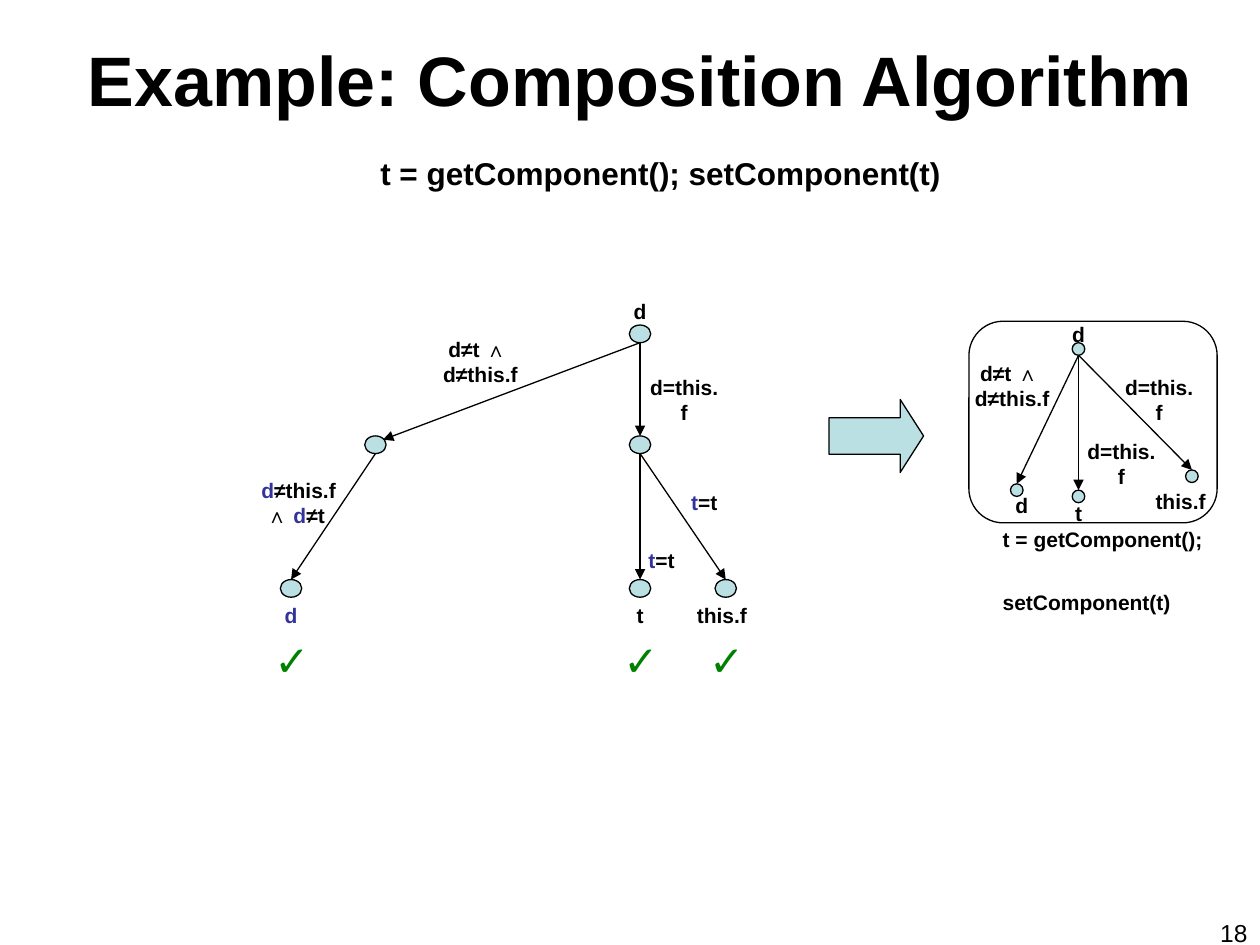
from lxml import etree
from pptx import Presentation
from pptx.dml.color import RGBColor
from pptx.enum.shapes import MSO_CONNECTOR, MSO_SHAPE as Shape
from pptx.enum.text import MSO_ANCHOR as Anchor, MSO_AUTO_SIZE as AutoSize, PP_ALIGN as Align
from pptx.oxml.ns import qn
from pptx.util import Inches, Pt

COLORS = {"ink": "000000", "node": "BBE0E3", "source": "333399", "check": "008000"}


def color(name):
    return RGBColor.from_string(COLORS[name])


def write_text(frame, runs, size=12, bold=True, align=Align.CENTER, before=0):
    """Fill a frame with (text, color) runs; a newline is a line break."""
    paragraph = frame.paragraphs[0]
    paragraph.alignment = align
    paragraph.space_before = Pt(before)
    if isinstance(runs, str):
        runs = [(runs, "ink")]
    for text, color_name in runs:
        for index, line in enumerate(text.split("\n")):
            if index:
                paragraph.add_line_break()
            run = paragraph.add_run()
            run.text = line
            run.font.name = "Arial"
            run.font.size = Pt(size)
            run.font.bold = bold
            run.font.color.rgb = color(color_name)


class Diagram:
    """Draws graph elements on one slide in a shared style."""

    line_width = Pt(0.75)

    def __init__(self, slide):
        self.slide = slide

    def shape(self, kind, left, top, width, height, fill="node", adjustments=()):
        shape = self.slide.shapes.add_shape(
            kind, Inches(left), Inches(top), Inches(width), Inches(height))
        shape.shadow.inherit = False
        if fill:
            shape.fill.solid()
            shape.fill.fore_color.rgb = color(fill)
        else:
            shape.fill.background()
        shape.line.color.rgb = color("ink")
        shape.line.width = self.line_width
        for index, value in enumerate(adjustments):
            shape.adjustments[index] = value

    def node(self, center, size):
        (x, y), (width, height) = center, size
        self.shape(Shape.OVAL, x - width / 2, y - height / 2, width, height)

    def arrow(self, start, end):
        connector = self.slide.shapes.add_connector(
            MSO_CONNECTOR.STRAIGHT, *(Inches(value) for value in (*start, *end)))
        connector.line.color.rgb = color("ink")
        connector.line.width = self.line_width
        etree.SubElement(connector.line._get_or_add_ln(), qn("a:tailEnd"), type="triangle")
        etree.SubElement(connector._element.spPr, qn("a:effectLst"))

    def text(self, runs, left, top, width, height, wrap=True, anchor=Anchor.TOP, **style):
        box = self.slide.shapes.add_textbox(
            Inches(left), Inches(top), Inches(width), Inches(height))
        frame = box.text_frame
        frame.word_wrap = wrap
        frame.auto_size = AutoSize.NONE if wrap else AutoSize.SHAPE_TO_FIT_TEXT
        frame.vertical_anchor = anchor
        write_text(frame, runs, **style)

    def label(self, runs, center_x, top, width, height=0.3, **style):
        self.text(runs, center_x - width / 2, top, width, height, wrap=False, **style)

    def graph(self, nodes, size, edges):
        """Edges leave the bottom of the parent and reach the top of the child."""
        half = size[1] / 2
        for center in nodes.values():
            self.node(center, size)
        for parent, child, shift_x, shift_y in edges:
            (x1, y1), (x2, y2) = nodes[parent], nodes[child]
            self.arrow((x1, y1 + half), (x2 + shift_x, y2 - half + shift_y))


def main():
    presentation = Presentation()
    presentation.slide_width, presentation.slide_height = Inches(10), Inches(7.5)
    slide = presentation.slides.add_slide(presentation.slide_layouts[6])
    diagram = Diagram(slide)

    # Heading and page number
    diagram.text("Example: Composition Algorithm", 0.33, 0.08, 9.5, 1.08,
                 anchor=Anchor.MIDDLE, size=40)
    diagram.text("t = getComponent(); setComponent(t)", 2.92, 1.17, 5, 0.4,
                 size=18, align=Align.LEFT)
    diagram.text("18", 7.67, 7.24, 2.33, 0.52, size=14, bold=False, align=Align.RIGHT)

    # Two-level composition tree
    root_x, leaf_y = 5.08, 4.67
    tree = {
        "root": (root_x, 2.65),
        "other": (2.98, 3.53), "field": (root_x, 3.53),
        "d": (2.31, leaf_y), "t": (root_x, leaf_y), "this.f": (5.76, leaf_y),
    }
    diagram.graph(tree, (0.17, 0.14), [
        ("root", "other", 0.06, 0.03), ("root", "field", 0, 0),
        ("other", "d", 0, 0), ("field", "t", 0, 0), ("field", "this.f", 0, 0)])

    neither = "d≠t ∧\n d≠this.f"
    same_t = [("t", "source"), ("=t", "ink")]
    diagram.label("d", root_x, 2.32, 0.3, before=7.5)
    diagram.label(neither, 3.79, 2.62, 0.88, 0.5, before=7.5)
    diagram.label("d=this.f", 5.43, 2.92, 0.79)
    diagram.label([("d", "source"), ("≠this.f\n∧ ", "ink"), ("d", "source"), ("≠t ", "ink")],
                  2.37, 3.74, 0.83, 0.5, before=7.5)
    diagram.label(same_t, 5.25, 4.3, 0.41)
    diagram.label(same_t, 5.59, 3.84, 0.41)

    # Leaf names with check marks
    for runs, name, center_x, width in (
            ([("d", "source")], "d", 2.31, 0.3),
            ("t", "t", root_x, 0.25),
            ("this.f", "this.f", 5.73, 0.6)):
        diagram.label(runs, center_x, 4.73, width, before=7.5)
        diagram.label([("✓", "check")], tree[name][0], 4.99, 0.46, 0.5,
                      size=24, align=Align.LEFT)

    # Arrow to the composed result
    diagram.shape(Shape.RIGHT_ARROW, 6.58, 3.17, 0.75, 0.58, adjustments=(0.5, 0.32))

    # Composed summary graph
    diagram.shape(Shape.ROUNDED_RECTANGLE, 7.69, 2.55, 1.97, 1.6,
                  fill=None, adjustments=(0.17,))
    summary_x = 8.56
    summary = {"root": (summary_x, 2.77), "d": (8.07, 3.89),
               "t": (summary_x, 3.94), "this.f": (9.46, 3.78)}
    diagram.graph(summary, (0.1, 0.1),
                  [("root", leaf, 0, 0) for leaf in ("d", "t", "this.f")])
    for name, center_x, top, width in (
            ("d", summary_x, 2.5, 0.3), ("d", 8.11, 3.86, 0.3),
            ("t", summary_x, 3.92, 0.25), ("this.f", 9.37, 3.83, 0.6)):
        diagram.label(name, center_x, top, width, before=7.5)
    diagram.label(neither, 8.01, 2.81, 0.88, 0.5, before=7.5)
    diagram.label("d=this.f", 8.9, 3.43, 0.79)
    diagram.label("d=this.f", 9.2, 2.92, 0.79)
    diagram.text("t = getComponent(); \nsetComponent(t)", 7.86, 4.13, 1.83, 0.5,
                 wrap=False, align=Align.LEFT)

    presentation.save("out.pptx")


if __name__ == "__main__":
    main()
